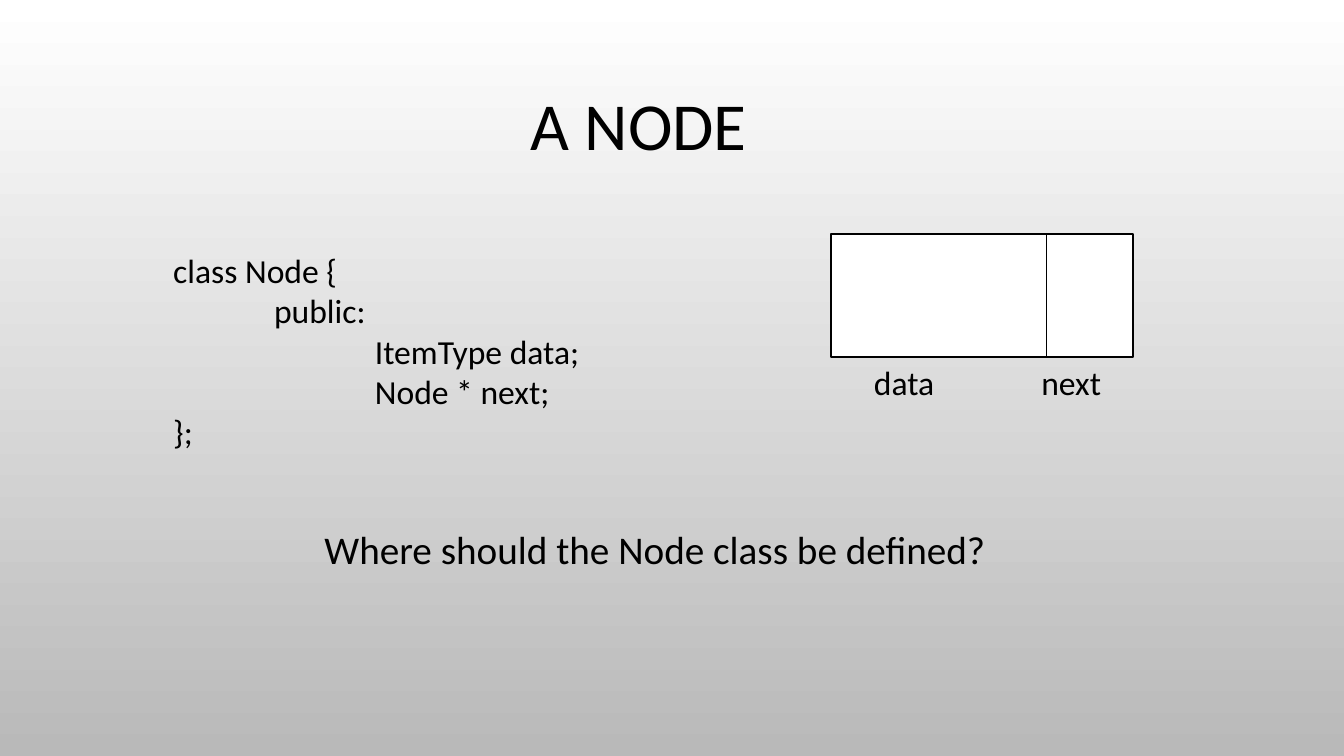
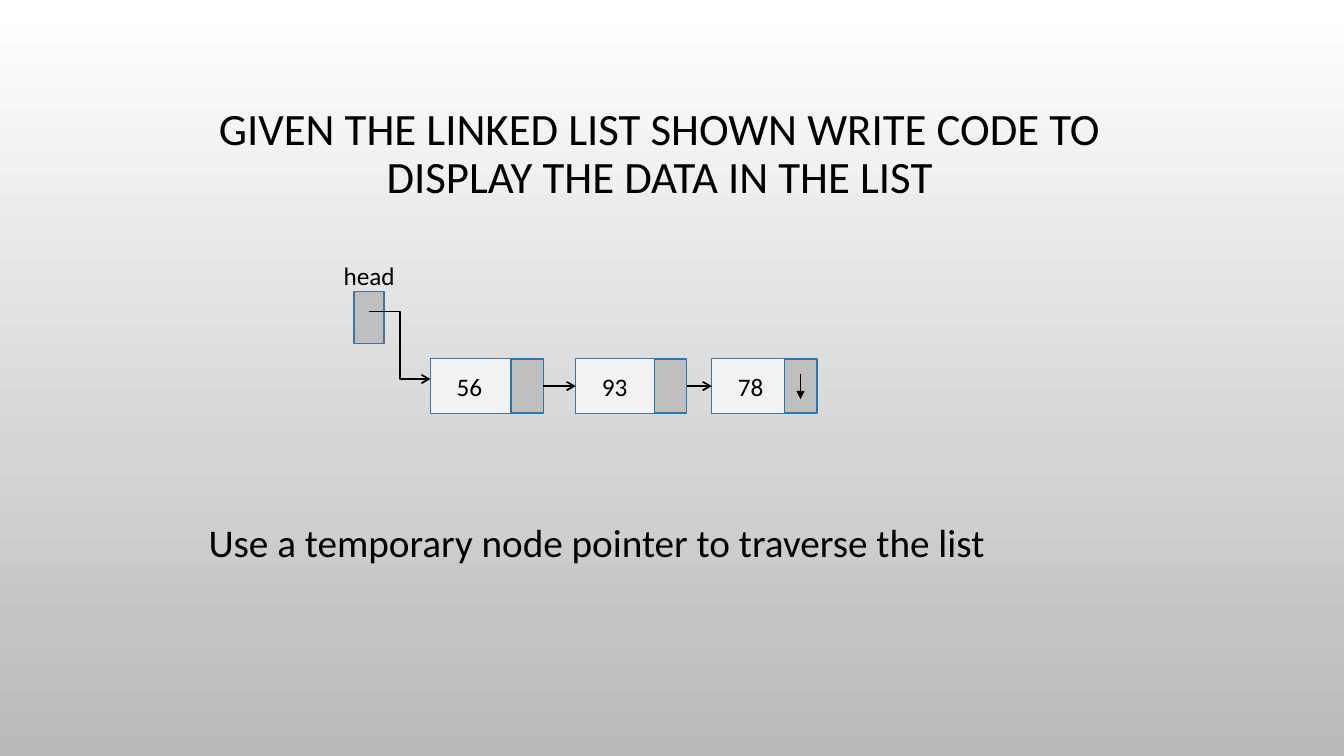
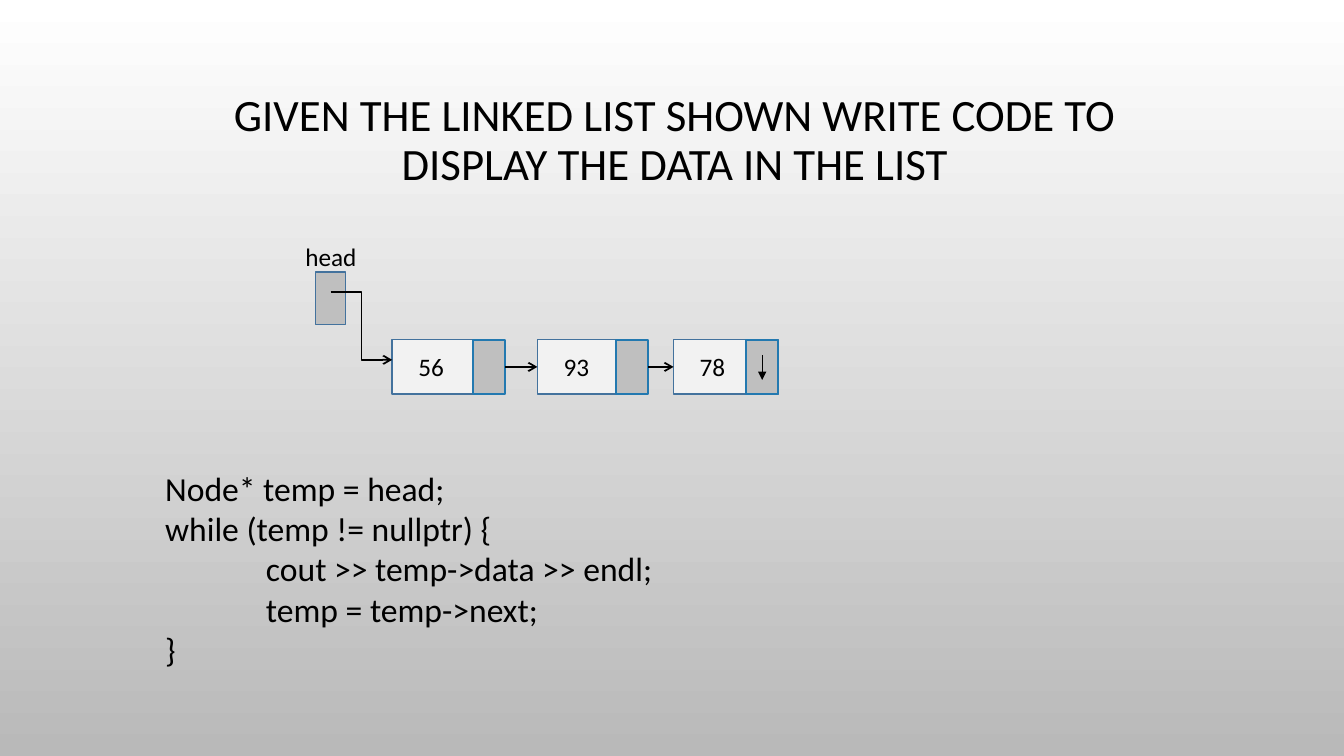
from lxml import etree
from pptx import Presentation
from pptx.dml.color import RGBColor
from pptx.enum.shapes import MSO_CONNECTOR, MSO_SHAPE
from pptx.enum.text import MSO_ANCHOR, PP_ALIGN
from pptx.oxml.ns import qn
from pptx.util import Inches, Pt

STRAIGHT, ELBOW = MSO_CONNECTOR.STRAIGHT, MSO_CONNECTOR.ELBOW
RECT = MSO_SHAPE.RECTANGLE
LEFT, CENTER = PP_ALIGN.LEFT, PP_ALIGN.CENTER
TOP, MIDDLE = MSO_ANCHOR.TOP, MSO_ANCHOR.MIDDLE
SIDE_LEFT, SIDE_RIGHT = 1, 3

FONT = "Calibri"
COLORS = {
    "ink": "000000",
    "paper": "FFFFFF",
    "shade": "B9B9B9",
    "node": "F2F2F2",
    "node_line": "43729D",
    "pointer": "BFBFBF",
    "pointer_line": "2379B0",
}
TAB_STEP = 0.5
TAB_COUNT = 4
NODE_W, NODE_H = 1.04, 0.54
POINTER_W = 0.32
HEAD_W, HEAD_H = 0.3, 0.52
NODES_DROP = 0.67
LINKED_NODES = [("56", 0.76, 0.8), ("93", 2.2, 0.78), ("78", 3.55, 0.72)]

NODE_CODE = """class Node {
\t\tpublic:
\t\t\t\tItemType data;
\t\t\t\tNode * next;
};"""
TRAVERSE_CODE = """Node* temp = head;
while (temp != nullptr) {
\t\tcout >> temp->data >> endl;
\t\ttemp = temp->next;
}"""
LIST_TITLE = "GIVEN THE LINKED LIST SHOWN WRITE CODE TO DISPLAY THE DATA IN THE LIST"


def rgb(name):
    return RGBColor.from_string(COLORS[name])


def set_background(prs):
    fill = prs.slide_master.background.fill
    fill.gradient()
    fill.gradient_angle = 270
    for stop, name in zip(fill.gradient_stops, ("paper", "shade")):
        stop.color.rgb = rgb(name)


def add_tab_stops(p):
    tabs = etree.SubElement(p._p.get_or_add_pPr(), qn("a:tabLst"))
    for i in range(1, TAB_COUNT + 1):
        etree.SubElement(tabs, qn("a:tab"), pos=str(Inches(TAB_STEP * i)), algn="l")


def write(sp, text, size=24, align=LEFT, anchor=TOP, spacing=1.0, wrap=True, inset=0.1):
    tf = sp.text_frame
    tf.word_wrap = wrap
    tf.vertical_anchor = anchor
    tf.margin_left = Inches(inset)
    for i, line in enumerate(text.split("\n")):
        p = tf.paragraphs[0] if i == 0 else tf.add_paragraph()
        p.alignment = align
        p.line_spacing = spacing
        if "\t" in line:
            add_tab_stops(p)
        r = p.add_run()
        r.text = line
        r.font.name = FONT
        r.font.size = Pt(size)
        r.font.color.rgb = rgb("ink")


def add_text(s, box, text, **style):
    sp = s.shapes.add_textbox(*map(Inches, box))
    write(sp, text, **style)


def add_title(s, box, text, size):
    add_text(s, box, text, size=size, align=CENTER, anchor=MIDDLE, spacing=0.9)


def add_rect(s, box, fill, line, weight):
    sp = s.shapes.add_shape(RECT, *map(Inches, box))
    sp.shadow.inherit = False
    sp.fill.solid()
    sp.fill.fore_color.rgb = rgb(fill)
    sp.line.color.rgb = rgb(line)
    sp.line.width = Pt(weight)
    return sp


def add_line(s, start, end, kind=STRAIGHT, weight=1.25, arrow=None):
    cx = s.shapes.add_connector(kind, *map(Inches, start + end))
    cx.line.color.rgb = rgb("ink")
    cx.line.width = Pt(weight)
    if arrow:
        etree.SubElement(cx.line._get_or_add_ln(), qn("a:tailEnd"), type=arrow)
    etree.SubElement(cx._element.spPr, qn("a:effectLst"))
    return cx


def add_node_diagram(s, x, y, w, h):
    split = x + 2.14
    add_rect(s, (x, y, w, h), "paper", "ink", 1.25)
    add_line(s, (split, y), (split, y + h))
    for label, left in (("data", x + 0.33), ("next", split - 0.15)):
        add_text(s, (left, y + h, 0.9, 0.5), label, wrap=False)


def add_linked_list(s, x, y):
    add_text(s, (x - 0.2, y - 0.36, 0.71, 0.41), "head", size=18, wrap=False)
    add_rect(s, (x, y, HEAD_W, HEAD_H), "pointer", "node_line", 1)
    top = y + NODES_DROP
    previous = None
    for value, dx, split in LINKED_NODES:
        left = x + dx
        node = add_rect(s, (left, top, NODE_W, NODE_H), "node", "node_line", 1)
        write(node, value, size=18, anchor=MIDDLE, inset=0.26)
        pointer = add_rect(s, (left + split, top, POINTER_W, NODE_H),
                           "pointer", "pointer_line", 1.25)
        if previous:
            link = add_line(s, (left, top), (left, top), arrow="arrow")
            link.begin_connect(previous, SIDE_RIGHT)
            link.end_connect(node, SIDE_LEFT)
        previous = pointer
    first_left = x + LINKED_NODES[0][1]
    add_line(s, (x + HEAD_W / 2, y + 0.2), (first_left, top + 0.2), kind=ELBOW, arrow="arrow")
    null_x = left + split + POINTER_W / 2
    add_line(s, (null_x, top + 0.15), (null_x, top + 0.4), weight=0.75, arrow="triangle")


def build_node_slide(s):
    add_title(s, (0.67, 0.4, 11.33, 1.75), "A NODE", 48)
    add_node_diagram(s, 8.24, 2.32, 3, 1.22)
    add_text(s, (1.62, 2.43, 4.93, 2.42), NODE_CODE)
    add_text(s, (3.12, 5.16, 8.07, 0.57), "Where should the Node class be defined?", size=28)


def build_list_slide(s, title_at, list_at, body_box, body, size):
    add_title(s, title_at + (9.83, 1.75), LIST_TITLE, 32)
    add_text(s, body_box, body, size=size)
    add_linked_list(s, *list_at)


def main():
    prs = Presentation()
    prs.slide_width, prs.slide_height = Inches(13.33), Inches(7.5)
    set_background(prs)
    node_slide, task_slide, answer_slide = (
        prs.slides.add_slide(prs.slide_layouts[6]) for _ in range(3))
    build_node_slide(node_slide)
    build_list_slide(task_slide, (1.63, 0.66), (3.51, 2.89), (1.97, 5.09, 8.04, 0.57),
                     "Use a temporary node pointer to traverse the list", 28)
    build_list_slide(answer_slide, (1.78, 0.53), (3.13, 2.7), (1.54, 4.59, 8.04, 2.12),
                     TRAVERSE_CODE, 24)
    prs.save("out.pptx")


if __name__ == "__main__":
    main()
